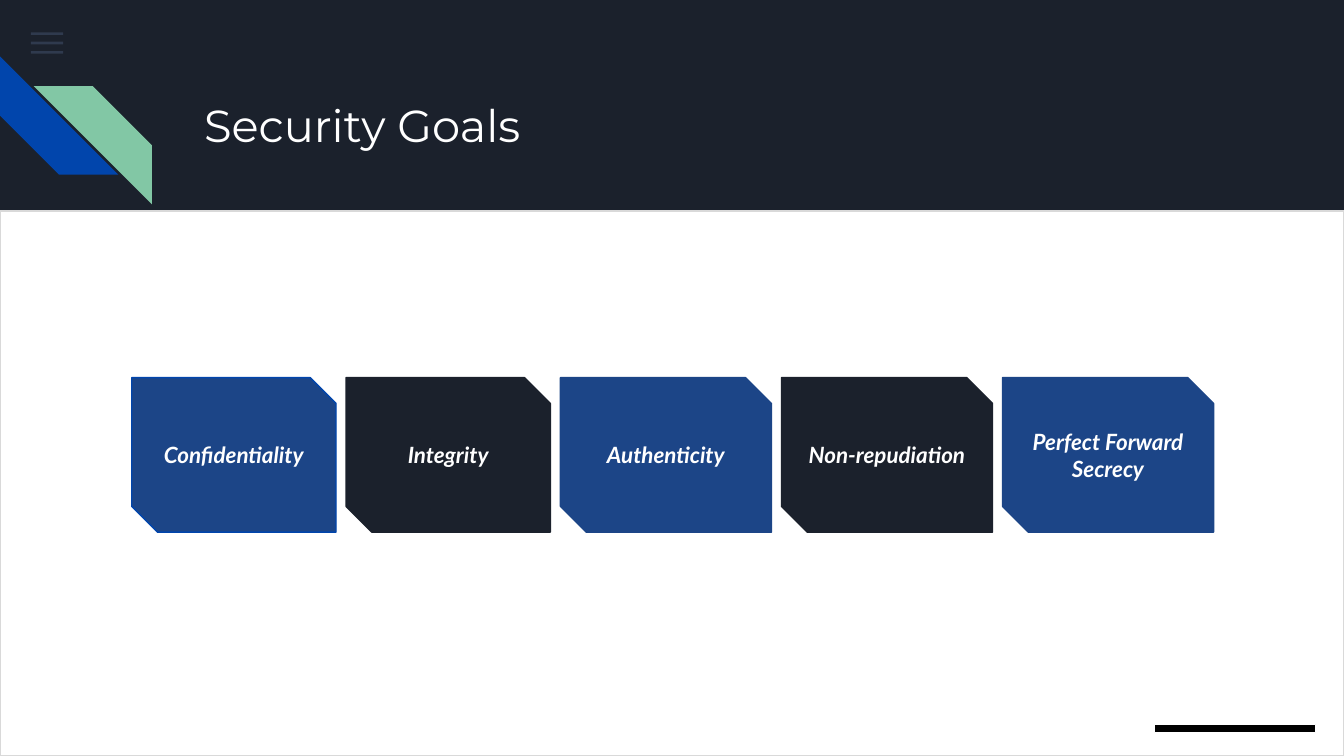
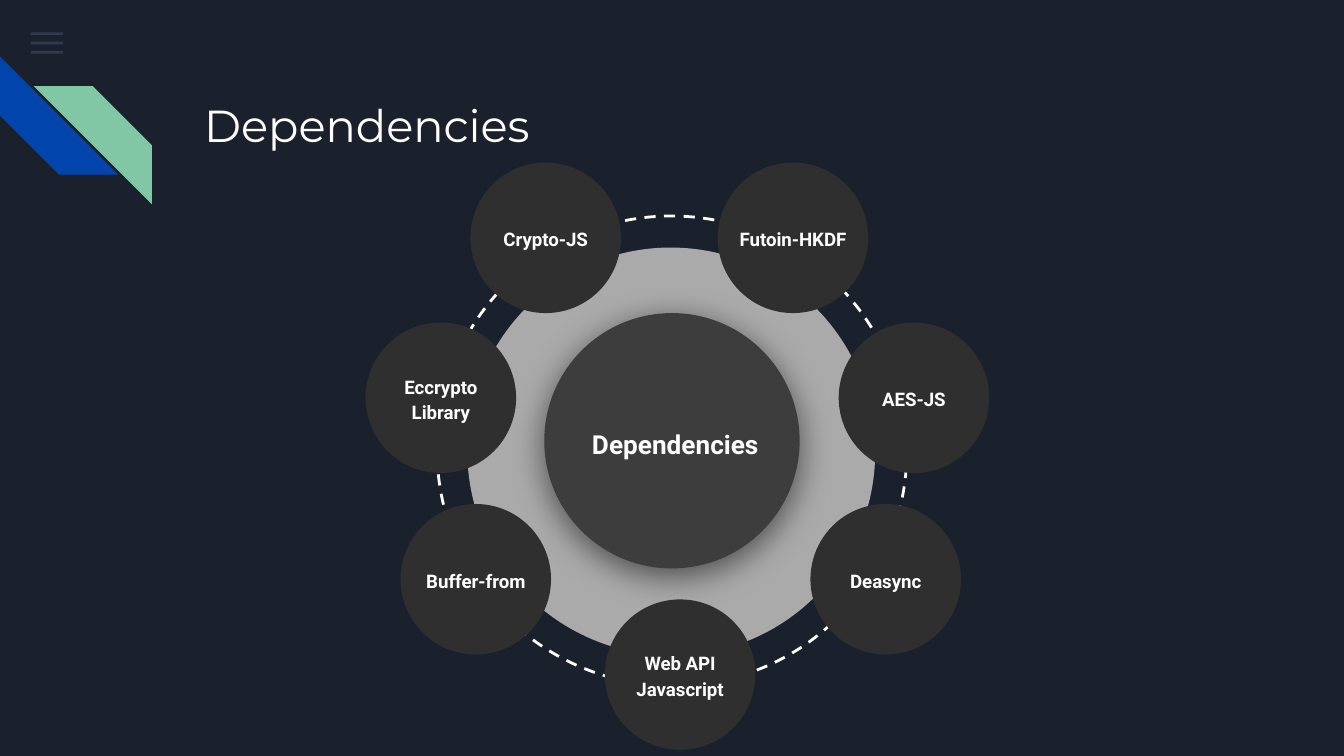
from dataclasses import dataclass

from lxml import etree
from pptx import Presentation
from pptx.dml.color import RGBColor
from pptx.enum.dml import MSO_LINE
from pptx.enum.shapes import MSO_SHAPE
from pptx.enum.text import MSO_ANCHOR, PP_ALIGN
from pptx.oxml.ns import qn
from pptx.util import Inches, Pt

RECT = MSO_SHAPE.RECTANGLE
STRIPE = MSO_SHAPE.DIAGONAL_STRIPE
SNIPPED = MSO_SHAPE.SNIP_2_DIAG_RECTANGLE
ELLIPSE = MSO_SHAPE.OVAL
PIE = MSO_SHAPE.PIE
DASH = MSO_LINE.DASH
MIDDLE = MSO_ANCHOR.MIDDLE
LEFT, CENTER = PP_ALIGN.LEFT, PP_ALIGN.CENTER


@dataclass(frozen=True)
class Theme:
    navy: str = "1B212C"
    white: str = "FFFFFF"
    black: str = "000000"
    menu: str = "55688B"
    royal: str = "0145AC"
    mint: str = "82C7A5"
    card_blue: str = "1C4587"
    panel_edge: str = "D9D9D9"
    dial: str = "AAAAAA"
    hub: str = "3D3D3D"
    disc: str = "2F2F2F"
    title_font: str = "Montserrat"
    card_font: str = "Lato"
    wheel_font: str = "Roboto"
    title_size: int = 24
    hub_size: int = 14
    card_size: int = 12
    disc_size: int = 10
    thin: float = 0.75
    ring: float = 1.5


T = Theme()

# Content: goals as (label, width, fill, line)
GOALS_TITLE = "Security Goals"
GOALS = [
    ("Confidentiality", 1.52, T.card_blue, T.royal),
    ("Integrity", 1.52, T.navy, T.navy),
    ("Authenticity", 1.57, T.card_blue, T.card_blue),
    ("Non-repudiation", 1.57, T.navy, T.navy),
    ("Perfect Forward Secrecy", 1.57, T.card_blue, T.card_blue),
]

# Content: dependencies as (label, left, top) of each disc
WHEEL_TITLE = "Dependencies"
HUB_LABEL = "Dependencies"
DEPENDENCIES = [
    ("Crypto-JS", 3.5, 1.21),
    ("Buffer-from", 2.98, 3.75),
    ("Deasync", 6.03, 3.75),
    ("Futoin-HKDF", 5.34, 1.21),
    ("Eccrypto Library", 2.72, 2.4),
    ("AES-JS", 6.24, 2.4),
    ("Web API Javascript", 4.5, 4.46),
]


def rgb(value):
    return RGBColor.from_string(value)


def add_part(slide, preset, box, fill=None, line=None, width=T.thin, adjust=(), turn=0):
    part = slide.shapes.add_shape(preset, *map(Inches, box))
    part.shadow.inherit = False
    part.rotation = turn
    for index, value in enumerate(adjust):
        part.adjustments[index] = value
    if fill:
        part.fill.solid()
        part.fill.fore_color.rgb = rgb(fill)
    else:
        part.fill.background()
    if line:
        part.line.color.rgb = rgb(line)
        part.line.width = Pt(width)
    else:
        part.line.fill.background()
    return part


def write(part, text, font, size, align=CENTER, bold=False, italic=False, spacing=None):
    frame = part.text_frame
    frame.word_wrap = True
    frame.vertical_anchor = MIDDLE
    frame.margin_left = frame.margin_right = Inches(0.1)
    frame.margin_top = frame.margin_bottom = Inches(0.1)
    paragraph = frame.paragraphs[0]
    paragraph.alignment = align
    if spacing:
        paragraph.line_spacing = spacing
    run = paragraph.add_run()
    run.text = text
    run.font.name = font
    run.font.size = Pt(size)
    run.font.bold = bold
    run.font.italic = italic
    run.font.color.rgb = rgb(T.white)


def add_label(slide, box, text, font, size, **style):
    label = slide.shapes.add_textbox(*map(Inches, box))
    write(label, text, font, size, **style)


def set_alpha(color, percent):
    etree.SubElement(color, qn("a:alpha"), val=str(percent * 1000))


def cast_shadow(part, color, opacity, blur, distance, angle):
    effects = part.element.spPr.find(qn("a:effectLst"))
    shadow = etree.SubElement(
        effects, qn("a:outerShdw"), blurRad=str(Pt(blur)), dist=str(Pt(distance)),
        dir=str(angle * 60000), algn="bl", rotWithShape="0")
    set_alpha(etree.SubElement(shadow, qn("a:srgbClr"), val=color), opacity)


def start_slide(deck):
    slide = deck.slides.add_slide(deck.slide_layouts[6])
    slide.background.fill.solid()
    slide.background.fill.fore_color.rgb = rgb(T.navy)
    # Menu mark
    for row in range(3):
        bar = add_part(slide, RECT, (0.23, 0.24 + 0.07 * row, 0.24, 0.02), T.menu)
        set_alpha(bar.element.spPr.find(qn("a:solidFill"))[0], 36)
    # Corner stripes
    add_part(slide, STRIPE, (0, 0.42, 0.88, 0.88), T.royal, adjust=[0.5], turn=270)
    mint_stripe = add_part(slide, STRIPE, (0.25, 0.64, 0.88, 0.88), T.mint, adjust=[0.5])
    mint_stripe.element.spPr.find(qn("a:xfrm")).set("flipH", "1")
    return slide


def add_title(slide, text):
    add_label(slide, (1.42, 0.43, 7.7, 1), text, T.title_font, T.title_size, align=LEFT)


def build_goals(deck):
    slide = start_slide(deck)
    add_part(slide, RECT, (0, 1.57, 10, 4.05), T.white, T.panel_edge)
    add_title(slide, GOALS_TITLE)
    add_part(slide, RECT, (8.59, 5.39, 1.2, 0.06), T.black, T.white)
    # Row of cards, equal gaps between fixed outer edges
    left, right = 0.98, 9.03
    gap = (right - left - sum(goal[1] for goal in GOALS)) / (len(GOALS) - 1)
    for label, width, fill, line in GOALS:
        card = add_part(slide, SNIPPED, (left, 2.81, width, 1.15), fill, line,
                        adjust=[0, 0.167])
        write(card, label, T.card_font, T.card_size, bold=True, italic=True)
        left += width + gap


def build_wheel(deck):
    slide = start_slide(deck)
    add_title(slide, WHEEL_TITLE)
    # Dial halves with the dashed ring between them
    dial_box = (3.48, 1.84, 3.03, 3.04)
    half = [26.9, 135.11]
    add_part(slide, PIE, dial_box, T.dial, adjust=half, turn=315)
    ring = add_part(slide, ELLIPSE, (3.25, 1.61, 3.5, 3.49), line=T.white,
                    width=T.ring, turn=45)
    ring.line.dash_style = DASH
    add_part(slide, PIE, dial_box, T.dial, adjust=half, turn=135)
    # Hub
    hub = add_part(slide, ELLIPSE, (4.05, 2.33, 1.9, 1.9), T.hub)
    cast_shadow(hub, T.black, opacity=55, blur=18, distance=4, angle=90)
    wheel_style = {"bold": True, "spacing": 1.15}
    add_label(slide, (4.28, 2.85, 1.49, 0.87), HUB_LABEL, T.wheel_font, T.hub_size,
              **wheel_style)
    # Discs around the hub
    size, label_height = 1.12, 0.77
    inset = (size - label_height) / 2
    for label, left, top in DEPENDENCIES:
        add_part(slide, ELLIPSE, (left, top, size, size), T.disc)
        add_label(slide, (left, top + inset, size, label_height), label,
                  T.wheel_font, T.disc_size, **wheel_style)


def main():
    deck = Presentation()
    # Widescreen page, exactly 16:9
    deck.slide_width = Inches(10)
    deck.slide_height = Inches(10 * 9 / 16)
    build_goals(deck)
    build_wheel(deck)
    deck.save("out.pptx")


if __name__ == "__main__":
    main()
